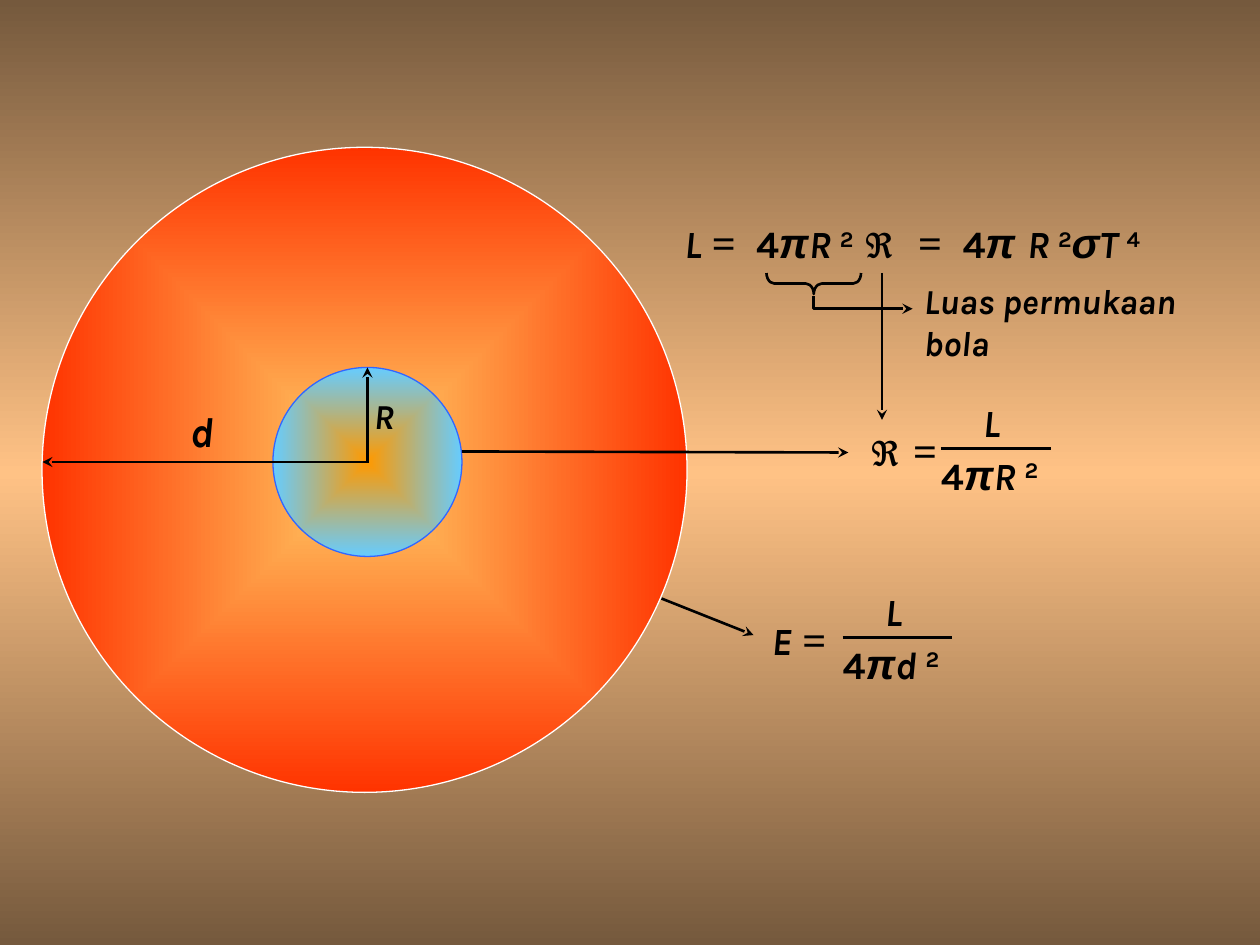
from lxml import etree
from pptx import Presentation
from pptx.dml.color import RGBColor
from pptx.enum.shapes import MSO_CONNECTOR, MSO_SHAPE
from pptx.enum.text import PP_ALIGN
from pptx.oxml.ns import qn
from pptx.util import Pt

THEME = {
    "ink": "000000",
    "outer_line": "FFFFFF",
    "inner_line": "3366FF",
    "background": ["75593D", "FFC285", "75593D"],
    "outer": ["FFCC66", "FF3300"],
    "inner": ["FF9900", "66CCFF"],
    "line": 1.5,
    "outline": 0.75,
    # font, size, italic, baseline
    "var": ("Karla", 22, True, 0),
    "num": ("Karla", 22, False, 0),
    "sup": ("Karla", 22, False, 30000),
    "greek": ("Arial", 24, True, 0),
    "script": ("Arial", 24, False, 0),
    "sign": ("Times New Roman", 24, False, 0),
    "radius": ("Karla", 20, True, 0),
    "distance": ("Karla", 24, True, 0),
    "note": ("Karla", 20, True, 0),
}


def set_gradient(fill, parent, colors, linear=False):
    fill.solid()
    solid = parent.find(qn("a:solidFill"))
    grad = etree.Element(qn("a:gradFill"), rotWithShape="1")
    stops = etree.SubElement(grad, qn("a:gsLst"))
    for i, color in enumerate(colors):
        gs = etree.SubElement(stops, qn("a:gs"), pos=str(i * 100000 // (len(colors) - 1)))
        etree.SubElement(gs, qn("a:srgbClr"), val=color)
    if linear:
        etree.SubElement(grad, qn("a:lin"), ang="5400000", scaled="0")
    else:
        shade = etree.SubElement(grad, qn("a:path"), path="rect")
        etree.SubElement(shade, qn("a:fillToRect"), l="50000", t="50000", r="50000", b="50000")
    parent.replace(solid, grad)


def add_text(x, y, w, h, runs, inset=7.2, align=PP_ALIGN.LEFT):
    tf = s.shapes.add_textbox(Pt(x), Pt(y), Pt(w), Pt(h)).text_frame
    tf.word_wrap = True
    tf.margin_left = tf.margin_right = Pt(inset)
    p = tf.paragraphs[0]
    p.alignment = align
    for text, style in runs:
        name, size, italic, baseline = THEME[style]
        r = p.add_run()
        r.text = text
        r.font.name = name
        r.font.size = Pt(size)
        r.font.bold = True
        r.font.italic = italic
        r.font.color.rgb = RGBColor.from_string(THEME["ink"])
        if baseline:
            r.font._element.set("baseline", str(baseline))
    return p


prs = Presentation()
prs.slide_width, prs.slide_height = Pt(720), Pt(540)
s = prs.slides.add_slide(prs.slide_layouts[6])
bg_fill = s.background.fill
bg_fill.solid()
set_gradient(bg_fill, s._element.find(".//" + qn("p:bgPr")), THEME["background"], linear=True)

for name, x, y, size in [("outer", 24, 84.2, 368.6), ("inner", 156, 210, 108)]:
    sp = s.shapes.add_shape(MSO_SHAPE.OVAL, Pt(x), Pt(y), Pt(size), Pt(size))
    sp.shadow.inherit = False
    set_gradient(sp.fill, sp._element.spPr, THEME[name])
    sp.line.color.rgb = RGBColor.from_string(THEME[name + "_line"])
    sp.line.width = Pt(THEME["outline"])

equation = add_text(384, 120.4, 294, 36, [
    ("L", "var"), (" =\t", "sign"), ("4", "num"), ("π", "greek"), ("R ", "var"), ("2", "sup"),
    (" ", "sign"), ("ℜ", "script"), ("\t=\t", "sign"), ("4", "num"), ("π ", "greek"),
    ("R ", "var"), ("2", "sup"), ("σ", "greek"), ("T ", "var"), ("4", "sup")])
tabs = etree.SubElement(equation._p.get_or_add_pPr(), qn("a:tabLst"))
for stop in (41, 133.5, 159):
    etree.SubElement(tabs, qn("a:tab"), pos=str(Pt(stop)), algn="l")

add_text(206.6, 221.8, 30, 32, [("R", "radius")])
add_text(102, 228, 30, 36, [("d", "distance")])
add_text(528, 156, 174, 55, [("Luas permukaan bola", "note")], inset=0)

brace = s.shapes.add_shape(MSO_SHAPE.LEFT_BRACE, Pt(459), Pt(135), Pt(12), Pt(54))
brace.rotation = 270
brace.adjustments[0] = 0.375
brace.fill.background()
brace.shadow.inherit = False

builder = s.shapes.build_freeform(Pt(465), Pt(169))
builder.add_line_segments([(Pt(465), Pt(176.4)), (Pt(521.5), Pt(176.4))], close=False)
elbow = builder.convert_to_shape()
elbow.fill.background()
elbow.shadow.inherit = False

strokes = [(brace, False), (elbow, True)]
segments = [
    (264, 258, 484.8, 258.6, True),
    (504, 156, 504, 240, True),
    (210, 264, 210, 210, True),
    (210.6, 264, 24.2, 264, True),
    (378, 342, 430.6, 362.9, True),
]

fractions = [
    (530.6, 224.6, [("ℜ", "script"), (" =", "sign")], "R "),
    (474.5, 332.6, [("E", "var"), (" =", "sign")], "d "),
]
for x, y, left_side, length in fractions:
    add_text(x, y, 72, 36, [("L", "var")], align=PP_ALIGN.CENTER)
    add_text(x - 40.6, y + 14.4, 54, 36, left_side)
    add_text(x, y + 28.1, 76.3, 36,
             [("4", "num"), ("π", "greek"), (length, "var"), ("2", "sup")])
    segments.append((x + 7, y + 31.6, x + 69.8, y + 31.6, False))

for x1, y1, x2, y2, arrow in segments:
    c = s.shapes.add_connector(MSO_CONNECTOR.STRAIGHT, Pt(x1), Pt(y1), Pt(x2), Pt(y2))
    etree.SubElement(c._element.spPr, qn("a:effectLst"))
    strokes.append((c, arrow))

for sp, arrow in strokes:
    sp.line.color.rgb = RGBColor.from_string(THEME["ink"])
    sp.line.width = Pt(THEME["line"])
    if arrow:
        etree.SubElement(sp.line._get_or_add_ln(), qn("a:tailEnd"), type="stealth")

prs.save("out.pptx")
